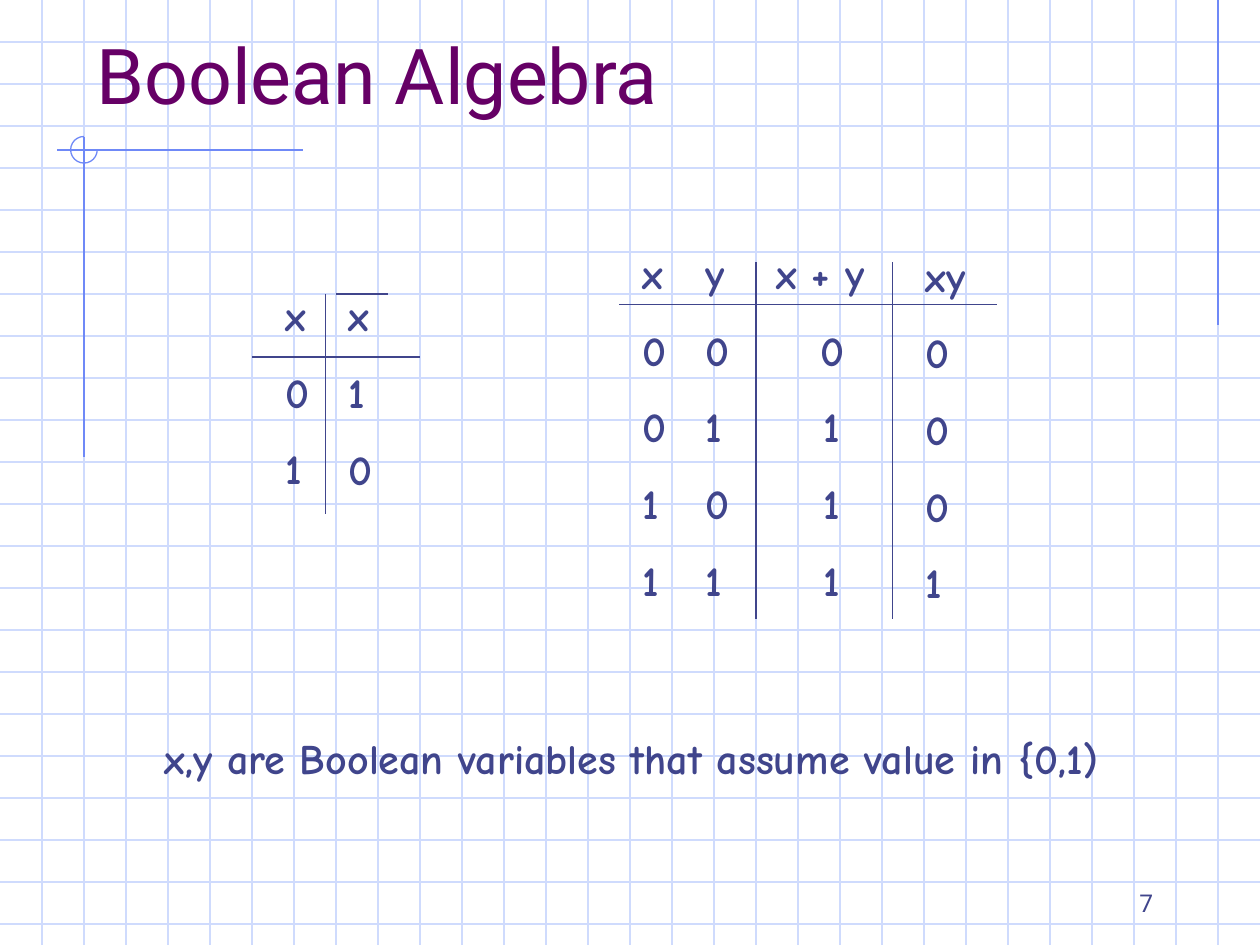
from dataclasses import dataclass

from lxml import etree
from pptx import Presentation
from pptx.dml.color import RGBColor
from pptx.enum.shapes import MSO_CONNECTOR, MSO_SHAPE
from pptx.enum.text import MSO_ANCHOR, PP_ALIGN
from pptx.oxml.ns import qn
from pptx.slide import Slide
from pptx.util import Pt

STRAIGHT = MSO_CONNECTOR.STRAIGHT
ARC = MSO_SHAPE.ARC
TOP, BOTTOM = MSO_ANCHOR.TOP, MSO_ANCHOR.BOTTOM
LEFT, CENTER, RIGHT = PP_ALIGN.LEFT, PP_ALIGN.CENTER, PP_ALIGN.RIGHT

GRID_BLUE = RGBColor(0xCF, 0xDB, 0xFD)
ACCENT_BLUE = RGBColor(0x6F, 0x89, 0xF7)
INK = RGBColor(0x40, 0x45, 0x8C)
PURPLE = RGBColor(0x66, 0x00, 0x66)

WIDTH, HEIGHT = 720, 540
GRID_STEP = 24
RULE_WEIGHT = 0.75
ROW_GAP = 15


@dataclass(frozen=True)
class Rule:
    x1: float
    y1: float
    x2: float
    y2: float
    color: RGBColor = INK


@dataclass(frozen=True)
class Label:
    lines: tuple[str, ...]
    left: float
    top: float
    width: float
    height: float
    font: str = "Comic Neue"
    size: int = 24
    bold: bool = True
    color: RGBColor = INK
    header_align: PP_ALIGN = LEFT
    value_align: PP_ALIGN = LEFT
    anchor: MSO_ANCHOR = TOP
    wrap: bool = True


GRID = [
    *(Rule(0, y, WIDTH, y, GRID_BLUE) for y in range(GRID_STEP, HEIGHT, GRID_STEP)),
    *(Rule(x, 0, x, HEIGHT, GRID_BLUE) for x in range(GRID_STEP, WIDTH, GRID_STEP)),
]
MARGIN_RULES = [
    Rule(696, 0, 696, 186, ACCENT_BLUE),
    Rule(173, 85.7, 32.5, 85.7, ACCENT_BLUE),
    Rule(48, 78.5, 48, 261, ACCENT_BLUE),
]
TABLE_RULES = [
    Rule(354, 174, 570, 174),
    Rule(510, 150, 510, 354),
    Rule(432, 150, 432, 354),
    Rule(144, 204, 240, 204),
    Rule(186, 168, 186, 294),
    Rule(192, 168, 222, 168),
]
LABELS = [
    Label(("7",), 516, 510, 150, 18, font="Roboto", size=14, bold=False,
          header_align=RIGHT, anchor=BOTTOM),
    Label(("Boolean Algebra",), 48, 24, 648, 48, font="Roboto", size=44,
          bold=False, color=PURPLE, anchor=BOTTOM),
    Label(("x", "0", "0", "1", "1"), 360, 138, 42, 212),
    Label(("y", "0", "1", "0", "1"), 396, 138, 42, 212),
    Label(("x + y", "0", "1", "1", "1"), 436.5, 138, 78, 212, value_align=CENTER),
    Label(("xy", "0", "0", "0", "1"), 522, 139.5, 78, 212),
    Label(("x", "0", "1"), 156, 162, 42, 124),
    Label(("x", "1", "0"), 192, 162, 42, 168),
    Label(("x,y are Boolean variables that assume value in {0,1)",),
          87, 415, 549, 36, wrap=False),
]


def draw_rule(slide: Slide, rule: Rule) -> None:
    connector = slide.shapes.add_connector(
        STRAIGHT, Pt(rule.x1), Pt(rule.y1), Pt(rule.x2), Pt(rule.y2))
    connector.line.color.rgb = rule.color
    connector.line.width = Pt(RULE_WEIGHT)
    properties = connector.element.find(qn("p:spPr"))
    etree.SubElement(properties, qn("a:effectLst"))


def draw_corner_arc(slide: Slide) -> None:
    corner = slide.shapes.add_shape(ARC, Pt(40.4), Pt(78), Pt(15.2), Pt(15.2))
    corner.shadow.inherit = False
    corner.adjustments[0] = 0
    corner.adjustments[1] = 162
    corner.fill.background()
    corner.line.color.rgb = ACCENT_BLUE
    corner.line.width = Pt(RULE_WEIGHT)


def draw_label(slide: Slide, label: Label) -> None:
    box = slide.shapes.add_textbox(
        Pt(label.left), Pt(label.top), Pt(label.width), Pt(label.height))
    frame = box.text_frame
    frame.word_wrap = label.wrap
    frame.vertical_anchor = label.anchor
    frame.text = "\n".join(label.lines)
    for row, paragraph in enumerate(frame.paragraphs):
        paragraph.alignment = label.value_align if row else label.header_align
        if row:
            paragraph.space_before = Pt(ROW_GAP)
        paragraph.font.name = label.font
        paragraph.font.size = Pt(label.size)
        paragraph.font.bold = label.bold
        paragraph.font.color.rgb = label.color


def main() -> None:
    presentation = Presentation()
    presentation.slide_width = Pt(WIDTH)
    presentation.slide_height = Pt(HEIGHT)
    slide = presentation.slides.add_slide(presentation.slide_layouts[6])
    for rule in GRID + MARGIN_RULES:
        draw_rule(slide, rule)
    draw_corner_arc(slide)
    for label in LABELS:
        draw_label(slide, label)
    for rule in TABLE_RULES:
        draw_rule(slide, rule)
    presentation.save("out.pptx")


if __name__ == "__main__":
    main()
